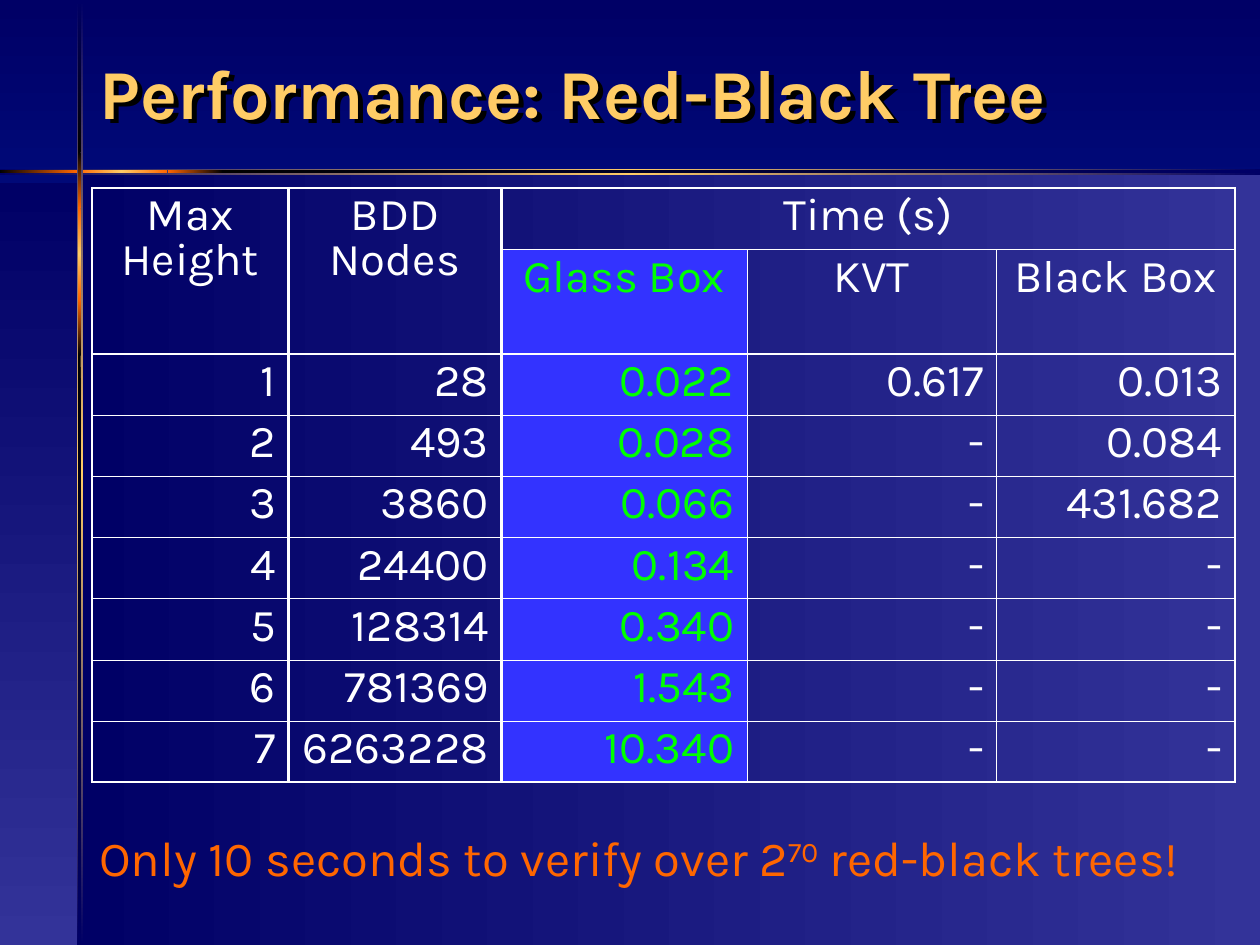
"""Build a slide with a table of red-black tree verification times."""
from lxml.etree import SubElement
from pptx import Presentation
from pptx.dml.color import RGBColor
from pptx.enum.shapes import MSO_SHAPE
from pptx.enum.text import MSO_ANCHOR, MSO_AUTO_SIZE, PP_ALIGN
from pptx.oxml.ns import qn
from pptx.util import Inches, Pt

FONT = "Karla"
HUES = {
    "navy": "000066", "blue": "0033CC", "indigo": "333399",
    "gold": "FFCC66", "orange": "FF6600", "black": "000000",
    "white": "FFFFFF", "green": "00FF00", "bright": "3333FF",
}
PANELS = [
    (0.62, 1.36, 9.38, 6.14, "indigo navy"),
    (0, 1.45, 0.62, 6.05, "navy indigo"),
    (0, 1.34, 10, 0.05, "navy gold navy"),
    (1.33, 1.35, 0.44, 0.02, "black orange"),
    (0, 1.35, 0.61, 0.02, "orange black"),
    (1.77, 1.35, 8.23, 0.02, "navy black"),
    (0.6, 1.35, 0.73, 0.02, "orange gold orange"),
    (0.61, 0, 0.05, 7.5, "navy gold navy"),
    (0.62, 1.65, 0.02, 0.73, "orange gold orange"),
    (0.62, 0.01, 0.02, 1.2, "navy black"),
    (0.62, 2.82, 0.02, 4.68, "black navy"),
    (0.62, 2.38, 0.02, 0.44, "orange black"),
    (0.62, 1.21, 0.02, 0.44, "black orange"),
]
ROWS = [
    ["Max Height", "BDD Nodes", "Time (s)", "", ""],
    ["", "", "Glass Box", "KVT", "Black Box"],
    ["1", "28", "0.022", "0.617", "0.013"],
    ["2", "493", "0.028", "-", "0.084"],
    ["3", "3860", "0.066", "-", "431.682"],
    ["4", "24400", "0.134", "-", "-"],
    ["5", "128314", "0.340", "-", "-"],
    ["6", "781369", "1.543", "-", "-"],
    ["7", "6263228", "10.340", "-", "-"],
]
WIDTHS = [1.56, 1.69, 1.95, 1.98, 1.89]
HEIGHTS = [0.49, 0.83] + [3.4 / 7] * 7
THIN, EDGE, BOLD = 0.45, 1.08, 1.47
UPRIGHT = [EDGE, BOLD, BOLD, THIN, THIN, EDGE]
LEVEL = [EDGE, THIN, BOLD] + [THIN] * 6 + [EDGE]


def color(name):
    """Return the named colour."""
    return RGBColor.from_string(HUES[name])


def style(para, size, hue, bold=False):
    """Set the font of a paragraph."""
    font = para.font
    font.name, font.size, font.bold = FONT, Pt(size), bold
    font.color.rgb = color(hue)


def blend(fill, root, names, angle):
    """Give a fill evenly spaced gradient stops."""
    fill.gradient()
    fill.gradient_angle = angle
    stops = root.find(".//" + qn("a:gsLst"))
    stops.clear()
    names = names.split()
    for i, name in enumerate(names):
        place = str(100000 * i // (len(names) - 1))
        stop = SubElement(stops, qn("a:gs"), pos=place)
        SubElement(stop, qn("a:srgbClr"), val=HUES[name])


def add_panel(slide, x, y, wide, high, names):
    """Add a rectangle shaded along its longer side."""
    box = slide.shapes.add_shape(
        MSO_SHAPE.RECTANGLE, Inches(x), Inches(y), Inches(wide), Inches(high))
    box.shadow.inherit = False
    box.line.fill.background()
    blend(box.fill, box.element, names, 180 if wide > high else 270)


def add_title(slide, text):
    """Fill the title and give its letters a shadow."""
    title = slide.shapes.title
    title.left, title.top = Inches(0.69), Inches(0.22)
    title.width, title.height = Inches(9.07), Inches(1.09)
    frame = title.text_frame
    frame.text = text
    frame.vertical_anchor = MSO_ANCHOR.MIDDLE
    para = frame.paragraphs[0]
    para.alignment, para.line_spacing = PP_ALIGN.LEFT, 0.9
    style(para, 40, "gold", True)
    title.fill.background()
    title.shadow.inherit = False
    effects = title.element.find(".//" + qn("a:effectLst"))
    shade = SubElement(effects, qn("a:outerShdw"),
                       dist=str(Pt(4)), dir="2700000")
    SubElement(shade, qn("a:srgbClr"), val=HUES["black"])


def add_edge(cell, side, width):
    """Draw one white border of a cell."""
    props = cell._tc.get_or_add_tcPr()
    line = SubElement(props, qn("a:ln" + side), w=str(Pt(width)))
    fill = SubElement(line, qn("a:solidFill"))
    SubElement(fill, qn("a:srgbClr"), val=HUES["white"])


def fill_cell(cell, row, col, text):
    """Write, border and fill one cell."""
    glass = col == 2 and row > 0
    down, right = 1, 1
    if cell.is_merge_origin:
        down, right = cell.span_height, cell.span_width
    cell.text = text
    para = cell.text_frame.paragraphs[0]
    para.alignment = PP_ALIGN.CENTER if row < 2 else PP_ALIGN.RIGHT
    para.line_spacing, para.space_before = 0.85, Pt(13)
    style(para, 26, "green" if glass else "white")
    add_edge(cell, "L", UPRIGHT[col])
    add_edge(cell, "R", UPRIGHT[col + right])
    add_edge(cell, "T", LEVEL[row])
    add_edge(cell, "B", LEVEL[row + down])
    if glass:
        cell.fill.solid()
        cell.fill.fore_color.rgb = color("bright")
    else:
        cell.fill.background()


def add_times(slide):
    """Add the table of times."""
    table = slide.shapes.add_table(
        len(ROWS), len(WIDTHS), Inches(0.73), Inches(1.49),
        Inches(sum(WIDTHS)), Inches(sum(HEIGHTS))).table
    table.first_row = table.horz_banding = False
    for col, width in zip(table.columns, WIDTHS):
        col.width = Inches(width)
    for row, height in zip(table.rows, HEIGHTS):
        row.height = Inches(height)
    for first, last in [((0, 0), (1, 0)), ((0, 1), (1, 1)), ((0, 2), (0, 4))]:
        table.cell(*first).merge(table.cell(*last))
    for r, row in enumerate(ROWS):
        for c, text in enumerate(row):
            cell = table.cell(r, c)
            if not cell.is_spanned:
                fill_cell(cell, r, c, text)


def add_note(slide, base, power, rest):
    """Add the closing line with a raised power."""
    box = slide.shapes.add_textbox(
        Inches(0.69), Inches(6.52), Inches(9.18), Inches(0.57))
    frame = box.text_frame
    frame.word_wrap = False
    frame.auto_size = MSO_AUTO_SIZE.SHAPE_TO_FIT_TEXT
    para = frame.paragraphs[0]
    for text in (base, power, rest):
        para.add_run().text = text
    style(para, 28, "orange")
    raised = list(box.element.iter(qn("a:r")))[1]
    raised.get_or_add_rPr().set("baseline", "30000")


def main():
    """Build and save the slide."""
    deck = Presentation()
    deck.slide_width, deck.slide_height = Inches(10), Inches(7.5)
    slide = deck.slides.add_slide(deck.slide_layouts[5])
    blend(slide.background.fill, slide.element, "navy blue", 270)
    for panel in PANELS:
        add_panel(slide, *panel)
    add_title(slide, "Performance: Red-Black Tree")
    add_times(slide)
    add_note(slide, "Only 10 seconds to verify over 2", "70",
             " red-black trees!")
    deck.save("out.pptx")


if __name__ == "__main__":
    main()
